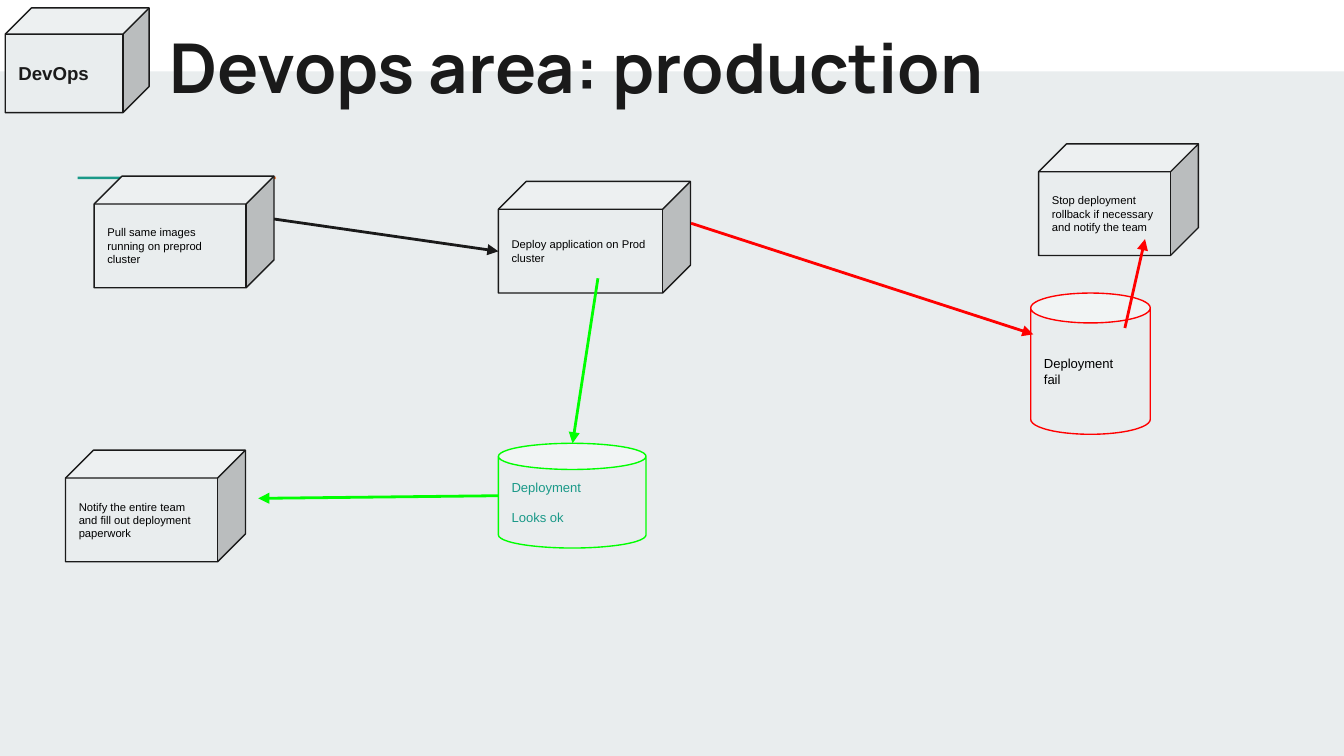
from dataclasses import dataclass

from lxml.etree import SubElement
from pptx import Presentation
from pptx.dml.color import RGBColor
from pptx.enum.shapes import MSO_CONNECTOR as LINK, MSO_SHAPE as SHAPE
from pptx.enum.text import MSO_ANCHOR as ANCHOR, MSO_AUTO_SIZE as FIT, PP_ALIGN as ALIGN
from pptx.oxml.ns import qn
from pptx.util import Cm, Pt


@dataclass(frozen=True)
class Theme:
    back: str = "E9EDEE"
    white: str = "FFFFFF"
    ink: str = "1A1A1A"
    black: str = "000000"
    teal: str = "1A9988"
    orange: str = "EB5600"
    red: str = "FF0000"
    green: str = "00FF00"
    head: str = "Manrope"
    body: str = "Arial"
    title: float = 36.8
    label: float = 10
    state: float = 7
    step: float = 6
    edge: float = 0.75
    arrow: float = 1.5


T = Theme()


def rgb(code):
    return RGBColor.from_string(code)


def within(box, part):
    """Shift a part by the corner of its box."""
    return box[0] + part[0], box[1] + part[1], *part[2:]


def write(frame, lines, size, color, font=T.body, bold=False, gap=0):
    frame.word_wrap = True
    frame.auto_size = FIT.NONE
    frame.margin_left = frame.margin_right = Cm(0.25)
    frame.margin_top = frame.margin_bottom = Cm(0.25)
    for i, line in enumerate(lines):
        para = frame.add_paragraph() if i else frame.paragraphs[0]
        para.alignment = ALIGN.LEFT
        para.space_before = Pt(gap if i else 0)
        run = para.add_run()
        run.text = line
        run.font.size, run.font.name, run.font.bold = Pt(size), font, bold
        run.font.color.rgb = rgb(color)


def add_form(slide, kind, box, fill, edge=None):
    form = slide.shapes.add_shape(kind, *map(Cm, box))
    form.shadow.inherit = False
    form.fill.solid()
    form.fill.fore_color.rgb = rgb(fill)
    if edge:
        form.line.color.rgb = rgb(edge)
        form.line.width = Pt(T.edge)
    else:
        form.line.fill.background()
    return form


def add_node(slide, kind, box, edge, lines, size, color, **style):
    node = add_form(slide, kind, box, T.back, edge)
    node.text_frame.vertical_anchor = ANCHOR.MIDDLE
    write(node.text_frame, lines, size, color, **style)


def add_arrow(slide, start, end, color):
    link = slide.shapes.add_connector(LINK.STRAIGHT, *map(Cm, (*start, *end)))
    link.line.color.rgb = rgb(color)
    link.line.width = Pt(T.arrow)
    SubElement(link.line._get_or_add_ln(), qn("a:tailEnd"), type="triangle")
    SubElement(link._element.spPr, qn("a:effectLst"))


def add_header(slide, box):
    add_form(slide, SHAPE.RECTANGLE, within(box, (0, 0, 25.4, 1.35)), T.white)
    title = slide.shapes.title
    slide.shapes._spTree.append(title._element)  # in front of the strip
    place = within(box, (2.95, 0.33, 22.81, 1.63))
    title.left, title.top, title.width, title.height = map(Cm, place)
    title.text_frame.vertical_anchor = ANCHOR.TOP
    write(title.text_frame, ["Devops area: production"], T.title, T.ink, T.head, True)
    title.text_frame.paragraphs[0].line_spacing = 0.95
    add_node(slide, SHAPE.CUBE, within(box, (0.1, 0.15, 2.72, 1.98)), T.ink,
             ["DevOps"], T.label, T.ink, bold=True)


def add_flow(slide, box):
    wide, high = 1.87, 0.05
    for i, color in enumerate((T.teal, T.orange)):
        bar = within(box, (0.23 + i * wide, 0.62, wide, high))
        add_form(slide, SHAPE.RECTANGLE, bar, color)

    steps = [
        (0.54, 0.61, 3.4, "Pull same images running on preprod cluster"),
        (8.18, 0.71, 3.63, "Deploy application on Prod cluster"),
        (18.39, 0, 3.02, "Stop deployment rollback if necessary and notify the team"),
        (0, 5.79, 3.4, "Notify the entire team and fill out deployment paperwork"),
    ]
    for x, y, w, text in steps:
        add_node(slide, SHAPE.CUBE, within(box, (x, y, w, 2.11)), T.ink,
                 [text], T.step, T.black)

    states = [
        ((18.24, 2.82, 2.26, 2.67), T.red, T.black, ["Deployment", "fail"], 0),
        ((8.18, 5.66, 2.79, 1.98), T.green, T.teal, ["Deployment", "Looks ok"], 7.5),
    ]
    for part, edge, color, lines, gap in states:
        add_node(slide, SHAPE.CAN, within(box, part), edge, lines, T.state, color, gap=gap)

    arrows = [
        ((11.82, 1.5), (18.29, 3.6), T.red),
        ((20.02, 3.48), (20.4, 1.8), T.red),
        ((8.18, 6.65), (3.64, 6.7), T.green),
        ((3.94, 1.42), (8.18, 2.03), T.ink),
        ((10.06, 2.54), (9.58, 5.66), T.green),
    ]
    for start, end, color in arrows:
        add_arrow(slide, within(box, start), within(box, end), color)


def main():
    deck = Presentation()
    deck.slide_width, deck.slide_height = Cm(25.4), Cm(14.29)
    slide = deck.slides.add_slide(deck.slide_layouts.get_by_name("Title Only"))
    slide.background.fill.solid()
    slide.background.fill.fore_color.rgb = rgb(T.back)
    add_header(slide, (0, 0))
    add_flow(slide, (1.24, 2.72))
    deck.save("out.pptx")


if __name__ == "__main__":
    main()
